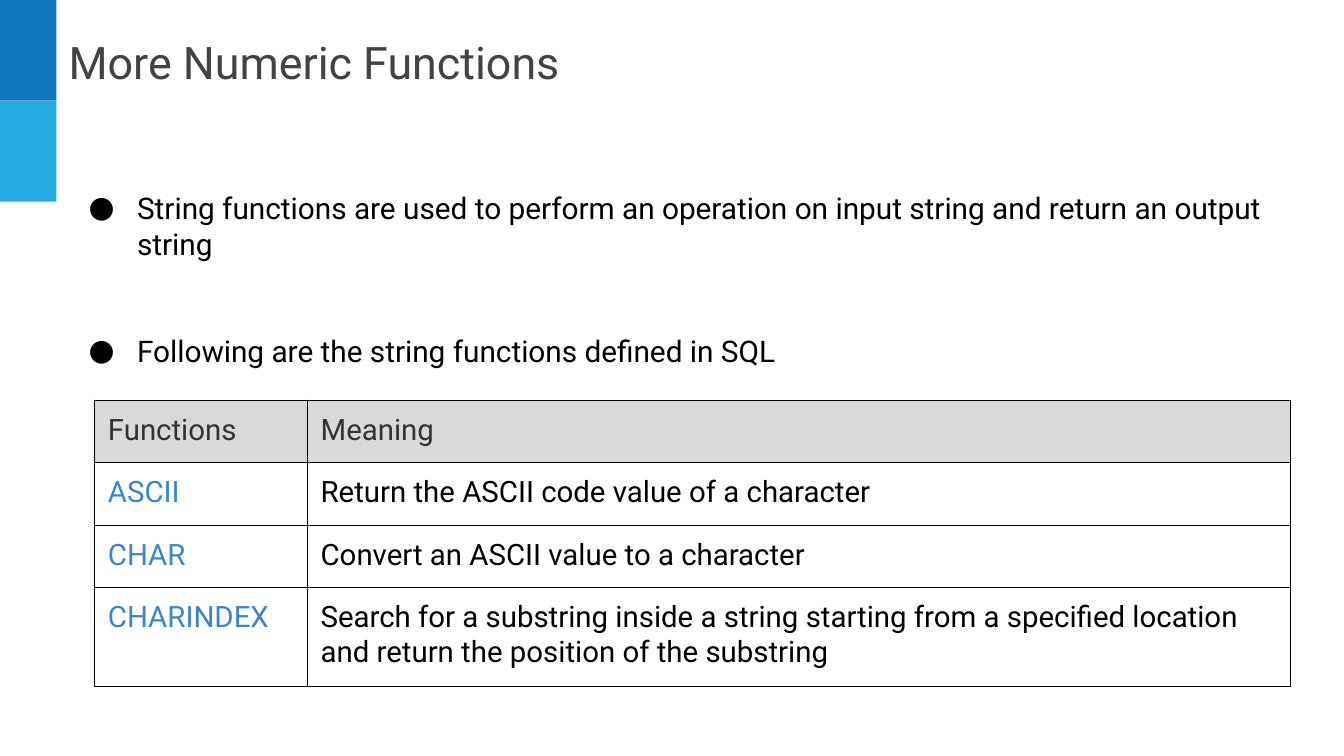
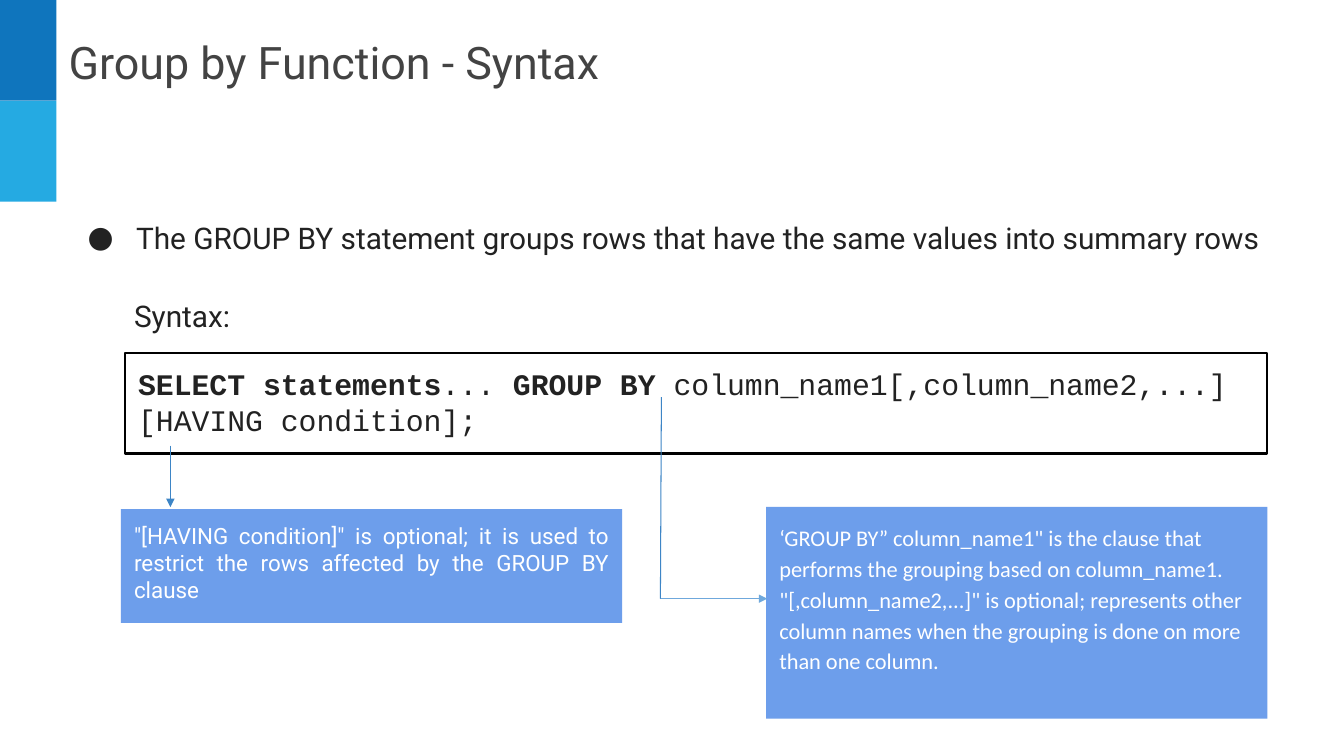
from dataclasses import dataclass

from lxml.etree import SubElement
from pptx import Presentation
from pptx.dml.color import RGBColor
from pptx.enum.shapes import MSO_CONNECTOR as Connector, MSO_SHAPE as Preset
from pptx.enum.text import MSO_ANCHOR as Anchor, MSO_AUTO_SIZE as AutoSize, PP_ALIGN as Align
from pptx.oxml.ns import qn
from pptx.util import Emu, Pt

PX_PER_INCH = 100
EMU_PER_PX = 914400 // PX_PER_INCH
INSET = 13
SANS, CODE, NOTE = "Roboto", "Courier New", "Calibri"
BODY_SIZE, TABLE_SIZE, CALLOUT_SIZE = 21.3, 21, 16
BLACK, WHITE, INK, TITLE_GREY = "000000", "FFFFFF", "222222", "434343"
HEADER_TEXT, HEADER_FILL = "333333", "D9D9D9"
LINK_BLUE, PALE_BLUE, CALLOUT_BLUE = "3D85C6", "6FA8DC", "6D9EEB"


@dataclass(frozen=True)
class Area:
    left: int
    top: int
    width: int
    height: int

    def emu(self) -> tuple:
        return px(self.left), px(self.top), px(self.width), px(self.height)


@dataclass(frozen=True)
class Band:
    area: Area
    fill: str


@dataclass(frozen=True)
class Line:
    start: tuple[int, int]
    end: tuple[int, int]
    colour: str
    arrow: bool


@dataclass(frozen=True)
class Callout:
    area: Area
    paragraphs: tuple[str, ...]
    font: str
    align: Align
    spacing: float


TITLE_AREA = Area(55, 21, 1086, 77)
BANDS = [Band(Area(0, 0, 56, 100), "0F75BD"), Band(Area(0, 100, 56, 100), "25AAE2")]

TABLE_AREA = Area(94, 397, 1186, 284)
COLUMN_WIDTHS = [211, 975]
ROW_HEIGHTS = [62, 62, 62, 98]
STRING_FUNCTIONS = [
    ("Functions", "Meaning"),
    ("ASCII", "Return the ASCII code value of a character"),
    ("CHAR", "Convert an ASCII value to a character"),
    ("CHARINDEX", "Search for a substring inside a string starting from a specified "
                  "location and return the position of the substring"),
]

SYNTAX_SPANS = [
    ("SELECT statements", True),
    ("... ", False),
    ("GROUP BY ", True),
    ("column_name1[,column_name2,...] [HAVING condition];", False),
]
CALLOUTS = [
    Callout(Area(760, 503, 497, 210), (
        "‘GROUP BY” column_name1\" is the clause that performs the grouping "
        "based on column_name1.",
        "\"[,column_name2,...]\" is optional; represents other column names when "
        "the grouping is done on more than one column.",
    ), NOTE, Align.LEFT, 1.15),
    Callout(Area(120, 505, 497, 113), (
        "\"[HAVING condition]\" is optional; it is used to restrict the rows "
        "affected by the GROUP BY clause",
    ), SANS, Align.JUSTIFY, 1.0),
]
LINES = [
    Line((655, 594), (761, 594), PALE_BLUE, True),
    Line((656, 394), (655, 594), LINK_BLUE, False),
    Line((169, 442), (169, 503), LINK_BLUE, True),
]


def px(length: int) -> Emu:
    return Emu(length * EMU_PER_PX)


def rgb(colour: str) -> RGBColor:
    return RGBColor.from_string(colour)


def prepare_frame(box):
    frame = box.text_frame
    frame.word_wrap = True
    frame.auto_size = AutoSize.NONE
    frame.vertical_anchor = Anchor.TOP
    frame.margin_left = frame.margin_right = px(INSET)
    frame.margin_top = frame.margin_bottom = px(INSET)
    return frame


def add_bullet(para, colour: str) -> None:
    props = para._p.get_or_add_pPr()
    props.set("marL", str(px(67)))
    props.set("indent", str(px(-48)))
    SubElement(SubElement(props, qn("a:buClr")), qn("a:srgbClr"), val=colour)
    SubElement(props, qn("a:buFont"), typeface=SANS)
    SubElement(props, qn("a:buChar"), char="●")


def write(frame, text, *, size: float = BODY_SIZE, font: str = SANS, colour: str = INK,
          align: Align = Align.LEFT, spacing: float = 1.0, before: float = 0,
          bullet: bool = False, new: bool = False) -> None:
    para = frame.add_paragraph() if new else frame.paragraphs[0]
    para.alignment = align
    para.line_spacing = spacing
    para.space_before = Pt(before)
    if bullet:
        add_bullet(para, colour)
    for words, bold in [(text, False)] if isinstance(text, str) else text:
        span = para.add_run()
        span.text = words
        span.font.size = Pt(size)
        span.font.name = font
        span.font.bold = bold
        span.font.color.rgb = rgb(colour)


def add_text_box(page, area: Area):
    return prepare_frame(page.shapes.add_textbox(*area.emu()))


def add_rectangle(page, area: Area, fill: str = "", outline: str = ""):
    box = page.shapes.add_shape(Preset.RECTANGLE, *area.emu())
    box.shadow.inherit = False
    if fill:
        box.fill.solid()
        box.fill.fore_color.rgb = rgb(fill)
    else:
        box.fill.background()
    if outline:
        box.line.color.rgb = rgb(outline)
        box.line.width = Pt(1.5)
    else:
        box.line.fill.background()
    return prepare_frame(box)


def add_line(page, line: Line) -> None:
    ends = [px(value) for value in (*line.start, *line.end)]
    connector = page.shapes.add_connector(Connector.STRAIGHT, *ends)
    connector.line.color.rgb = rgb(line.colour)
    connector.line.width = Pt(0.75)
    if line.arrow:
        SubElement(connector.line._get_or_add_ln(), qn("a:tailEnd"), type="triangle")
    SubElement(connector._element.spPr, qn("a:effectLst"))


def add_borders(cell) -> None:
    props = cell._tc.get_or_add_tcPr()
    for side in ("lnL", "lnR", "lnT", "lnB"):
        border = SubElement(props, qn(f"a:{side}"), w=str(Pt(1)))
        SubElement(SubElement(border, qn("a:solidFill")), qn("a:srgbClr"), val=BLACK)


def fill_cell(cell, text: str, colour: str, header: bool) -> None:
    add_borders(cell)
    if header:
        cell.fill.solid()
        cell.fill.fore_color.rgb = rgb(HEADER_FILL)
    else:
        cell.fill.background()
    cell.margin_left = cell.margin_right = px(INSET)
    cell.margin_top = cell.margin_bottom = px(INSET)
    write(cell.text_frame, text, size=TABLE_SIZE, colour=colour)


def add_function_table(page) -> None:
    table = page.shapes.add_table(
        len(ROW_HEIGHTS), len(COLUMN_WIDTHS), *TABLE_AREA.emu()).table
    table.first_row = table.horz_banding = False
    for column, width in zip(table.columns, COLUMN_WIDTHS):
        column.width = px(width)
    for row, height in zip(table.rows, ROW_HEIGHTS):
        row.height = px(height)
    for row_index, texts in enumerate(STRING_FUNCTIONS):
        header = row_index == 0
        colours = (HEADER_TEXT, HEADER_TEXT) if header else (LINK_BLUE, BLACK)
        for column_index, (text, colour) in enumerate(zip(texts, colours)):
            fill_cell(table.cell(row_index, column_index), text, colour, header)


def add_page(deck, title: str):
    page = deck.slides.add_slide(deck.slide_layouts[5])
    heading = page.shapes.title
    heading.left, heading.top, heading.width, heading.height = TITLE_AREA.emu()
    write(prepare_frame(heading), title, size=32, colour=TITLE_GREY)
    for band in BANDS:
        add_rectangle(page, band.area, band.fill)
    return page


def build_string_functions(deck) -> None:
    page = add_page(deck, "More Numeric Functions")
    frame = add_text_box(page, Area(56, 175, 1225, 213))
    write(frame, "String functions are used to perform an operation on input string "
                 "and return an output string", colour=BLACK, bullet=True)
    write(frame, "Following are the string functions defined in SQL",
          colour=BLACK, bullet=True, before=51, new=True)
    add_function_table(page)


def build_group_by(deck) -> None:
    page = add_page(deck, "Group by Function - Syntax")
    write(add_text_box(page, Area(120, 282, 141, 49)), "Syntax:")
    write(add_text_box(page, Area(55, 200, 1256, 71)),
          "The GROUP BY statement groups rows that have the same values into summary rows",
          bullet=True, spacing=1.15)
    write(add_rectangle(page, Area(124, 350, 1133, 100), outline=BLACK),
          SYNTAX_SPANS, font=CODE)
    for callout in CALLOUTS:
        frame = add_rectangle(page, callout.area, CALLOUT_BLUE)
        for index, text in enumerate(callout.paragraphs):
            write(frame, text, size=CALLOUT_SIZE, font=callout.font, colour=WHITE,
                  align=callout.align, spacing=callout.spacing, new=index > 0)
    for line in LINES:
        add_line(page, line)


def main() -> None:
    deck = Presentation()
    deck.slide_width, deck.slide_height = px(1333), px(750)
    build_string_functions(deck)
    build_group_by(deck)
    deck.save("out.pptx")


if __name__ == "__main__":
    main()
